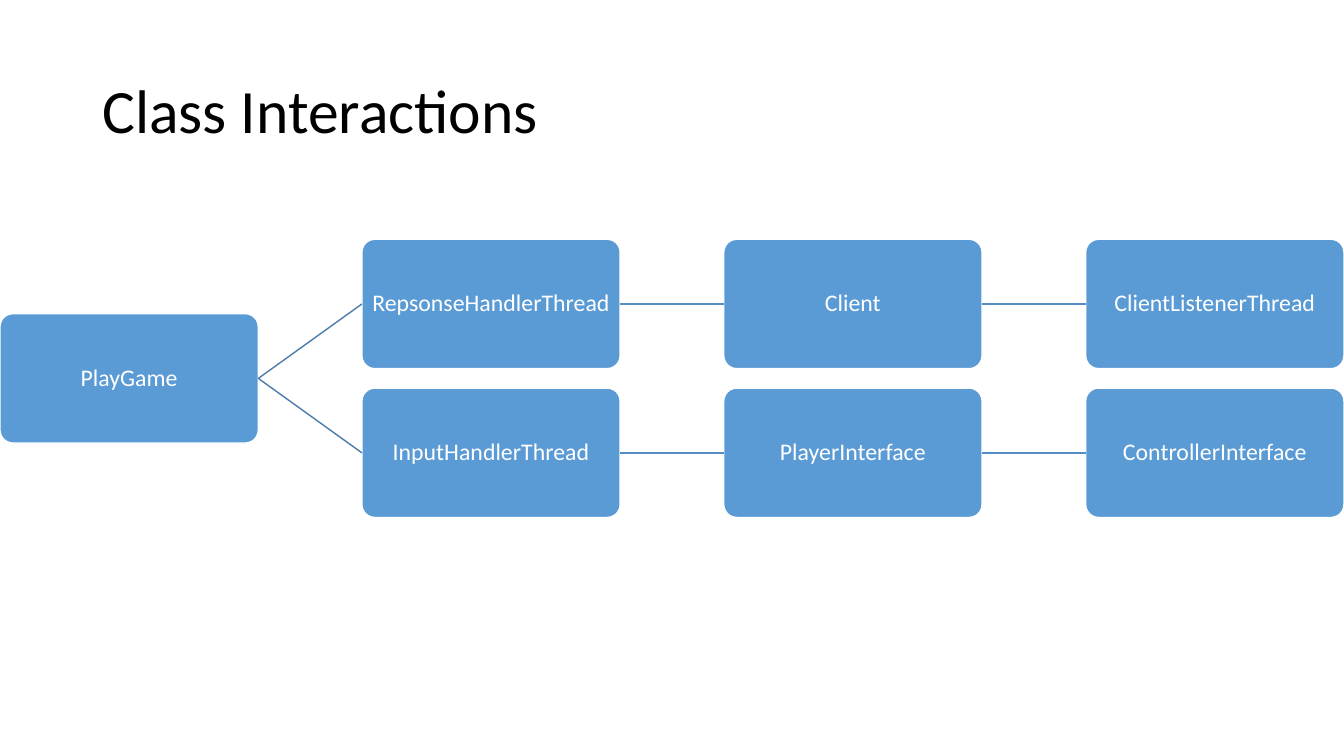
from lxml import etree
from pptx import Presentation
from pptx.dml.color import RGBColor
from pptx.enum.shapes import MSO_CONNECTOR as Connector, MSO_SHAPE as Preset
from pptx.enum.text import MSO_ANCHOR as Anchor, PP_ALIGN as Align
from pptx.oxml.ns import qn
from pptx.util import Cm, Pt

COLORS = {
    "title": "000000",
    "box": "5B9BD5",
    "white": "FFFFFF",
    "branch": "497CAB",
    "link": "538DC1",
}
ROOT = "PlayGame"
CHAINS = [
    ["RepsonseHandlerThread", "Client", "ClientListenerThread"],
    ["InputHandlerThread", "PlayerInterface", "ControllerInterface"],
]
BOX_WIDTH, BOX_HEIGHT = 6.51, 3.26
LEFT_SITE, RIGHT_SITE = 1, 3
MARGINS = ("margin_left", "margin_top", "margin_right", "margin_bottom")
TITLE_FRAME = {"word_wrap": True, "vertical_anchor": Anchor.MIDDLE}
BOX_FRAME = TITLE_FRAME | {margin: Cm(0.03) for margin in MARGINS}


def color(name):
    return RGBColor.from_string(COLORS[name])


def apply(target, values):
    for name, value in values.items():
        setattr(target, name, value)


def write(shape, text, frame_format, size, color_name, alignment):
    frame = shape.text_frame
    apply(frame, frame_format)
    paragraph = frame.paragraphs[0]
    apply(paragraph, {"alignment": alignment, "line_spacing": 0.9})
    run = paragraph.add_run()
    run.text = text
    apply(run.font, {"name": "Calibri", "size": Pt(size)})
    run.font.color.rgb = color(color_name)


def add_title(slide, left, top, width, height):
    shape = slide.shapes.add_textbox(Cm(left), Cm(top), Cm(width), Cm(height))
    write(shape, "Class Interactions", TITLE_FRAME, 44, "title", Align.LEFT)


def add_class_box(slide, text, left, top):
    shape = slide.shapes.add_shape(
        Preset.ROUNDED_RECTANGLE, Cm(left), Cm(top), Cm(BOX_WIDTH), Cm(BOX_HEIGHT)
    )
    shape.adjustments[0] = 0.1
    shape.shadow.inherit = False
    shape.fill.solid()
    shape.fill.fore_color.rgb = color("box")
    shape.line.color.rgb = color("white")
    shape.line.width = Pt(1)
    write(shape, text, BOX_FRAME, 17, "white", Align.CENTER)
    return shape


def connect(slide, source, target, color_name):
    line = slide.shapes.add_connector(Connector.STRAIGHT, 0, 0, 0, 0)
    line.begin_connect(source, RIGHT_SITE)
    line.end_connect(target, LEFT_SITE)
    line.line.color.rgb = color(color_name)
    line.line.width = Pt(1)
    etree.SubElement(line._element.spPr, qn("a:effectLst"))


def add_hierarchy(slide, left, top, width, height):
    column_step = (width - BOX_WIDTH) / len(CHAINS[0])
    row_step = (height - BOX_HEIGHT) / (len(CHAINS) - 1)
    root = add_class_box(slide, ROOT, left, top + (height - BOX_HEIGHT) / 2)
    for row, chain in enumerate(CHAINS):
        previous, line_color = root, "branch"
        for column, text in enumerate(chain, 1):
            box = add_class_box(
                slide, text, left + column * column_step, top + row * row_step
            )
            connect(slide, previous, box, line_color)
            previous, line_color = box, "link"


def main():
    presentation = Presentation()
    apply(presentation, {"slide_width": Cm(33.87), "slide_height": Cm(19.05)})
    slide = presentation.slides.add_slide(presentation.slide_layouts[6])
    add_title(slide, 2.33, 1.01, 29.21, 3.68)
    add_hierarchy(slide, 0, 6.03, 33.87, 7.01)
    presentation.save("out.pptx")


if __name__ == "__main__":
    main()
